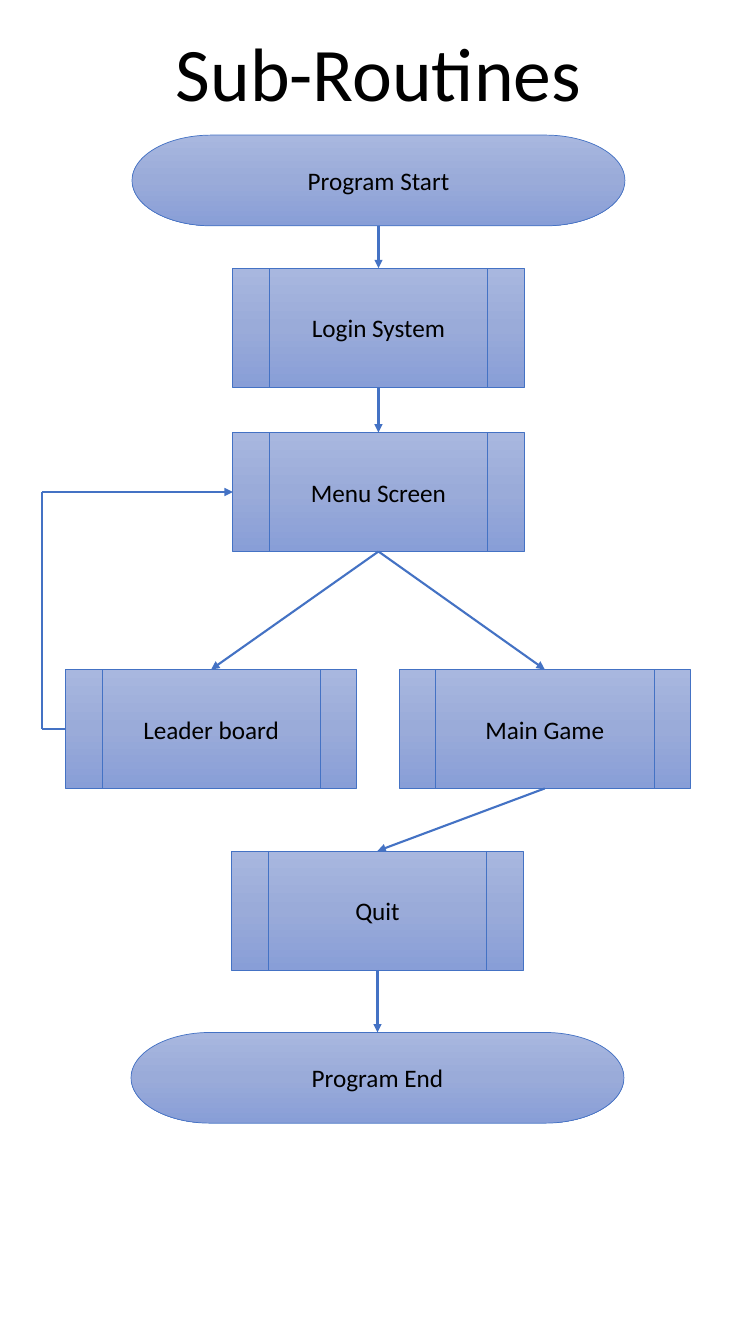
from copy import deepcopy
from dataclasses import dataclass

from lxml import etree
from pptx import Presentation
from pptx.dml.color import RGBColor
from pptx.enum.shapes import MSO_CONNECTOR, MSO_SHAPE
from pptx.enum.text import MSO_ANCHOR, MSO_AUTO_SIZE, PP_ALIGN
from pptx.oxml.ns import qn
from pptx.util import Pt

TERMINATOR = MSO_SHAPE.FLOWCHART_TERMINATOR
PROCESS = MSO_SHAPE.FLOWCHART_PREDEFINED_PROCESS
STRAIGHT = MSO_CONNECTOR.STRAIGHT
CENTER, MIDDLE = PP_ALIGN.CENTER, MSO_ANCHOR.MIDDLE
TOP, LEFT, BOTTOM = 0, 1, 2

# Content: lengths in px, 100 px to the inch
PAGE = (750, 1333)
TITLE = ("Sub-Routines", (162, 21, 427, 101))
SIZES = {TERMINATOR: (489, 90), PROCESS: (289, 118)}
STEPS = [  # text, shape, left, top
    ("Program Start", TERMINATOR, 131, 134),
    ("Login System", PROCESS, 231, 266),
    ("Menu Screen", PROCESS, 231, 429),
    ("Leader board", PROCESS, 65, 664),
    ("Main Game", PROCESS, 396, 664),
    ("Quit", PROCESS, 230, 844),
    ("Program End", TERMINATOR, 130, 1024),
]
FLOWS = [
    ("Program Start", "Login System"),
    ("Login System", "Menu Screen"),
    ("Menu Screen", "Leader board"),
    ("Menu Screen", "Main Game"),
    ("Main Game", "Quit"),
    ("Quit", "Program End"),
]
RETURN_FLOW = ("Leader board", "Menu Screen")
RETURN_X = 42


@dataclass(frozen=True)
class Theme:
    font: str = "Calibri"
    title_size: int = 54
    step_size: int = 18
    text: str = "000000"
    line: str = "4472C4"
    gradient: tuple = ((0, "A8B7DF"), (0.5, "9AABD9"), (1, "889ED7"))
    gradient_angle: int = 270
    outline: float = 0.5
    arrow: float = 1.5


THEME = Theme()


def px(n):
    return round(n * 9144)


def rgb(value):
    return RGBColor.from_string(value)


def set_text(tf, text, size, color=THEME.text, align=CENTER, anchor=None, wrap=True):
    tf.word_wrap = wrap
    if anchor is not None:
        tf.vertical_anchor = anchor
    p = tf.paragraphs[0]
    p.alignment = align
    r = p.add_run()
    r.text = text
    r.font.name, r.font.size = THEME.font, Pt(size)
    r.font.color.rgb = rgb(color)


def fill_gradient(sp):
    sp.fill.gradient()
    sp.fill.gradient_angle = THEME.gradient_angle
    stops = sp._element.spPr.find(".//" + qn("a:gsLst"))
    stops.insert(1, deepcopy(stops[0]))
    for stop, (position, color) in zip(sp.fill.gradient_stops, THEME.gradient):
        stop.position = position
        stop.color.rgb = rgb(color)


def add_step(s, text, kind, left, top):
    sp = s.shapes.add_shape(kind, *map(px, (left, top, *SIZES[kind])))
    sp.shadow.inherit = False
    fill_gradient(sp)
    sp.line.color.rgb = rgb(THEME.line)
    sp.line.width = Pt(THEME.outline)
    set_text(sp.text_frame, text, THEME.step_size, anchor=MIDDLE)
    return sp


def add_line(s, start=(0, 0), end=(0, 0), begin_at=None, end_at=None, arrow=True):
    """Draw between points; begin_at and end_at are (step, side) joins."""
    cx = s.shapes.add_connector(STRAIGHT, *start, *end)
    if begin_at:
        cx.begin_connect(*begin_at)
    if end_at:
        cx.end_connect(*end_at)
    cx.line.color.rgb = rgb(THEME.line)
    cx.line.width = Pt(THEME.arrow)
    if arrow:
        etree.SubElement(cx.line._get_or_add_ln(), qn("a:tailEnd"), type="triangle")
    etree.SubElement(cx._element.spPr, qn("a:effectLst"))


def main():
    prs = Presentation()
    prs.slide_width, prs.slide_height = map(px, PAGE)
    s = prs.slides.add_slide(prs.slide_layouts[6])

    # Title
    text, box = TITLE
    tf = s.shapes.add_textbox(*map(px, box)).text_frame
    set_text(tf, text, THEME.title_size, wrap=False)
    tf.auto_size = MSO_AUTO_SIZE.SHAPE_TO_FIT_TEXT

    # Steps
    steps = {step[0]: add_step(s, *step) for step in STEPS}

    # Downward arrows
    for source, target in FLOWS:
        add_line(s, begin_at=(steps[source], BOTTOM), end_at=(steps[target], TOP))

    # Return path around the left side
    source, target = (steps[name] for name in RETURN_FLOW)
    low, high = ((px(RETURN_X), sp.top + sp.height // 2) for sp in (source, target))
    add_line(s, start=low, end_at=(source, LEFT), arrow=False)
    add_line(s, start=low, end=high, arrow=False)
    add_line(s, start=high, end_at=(target, LEFT))

    prs.save("out.pptx")


if __name__ == "__main__":
    main()
